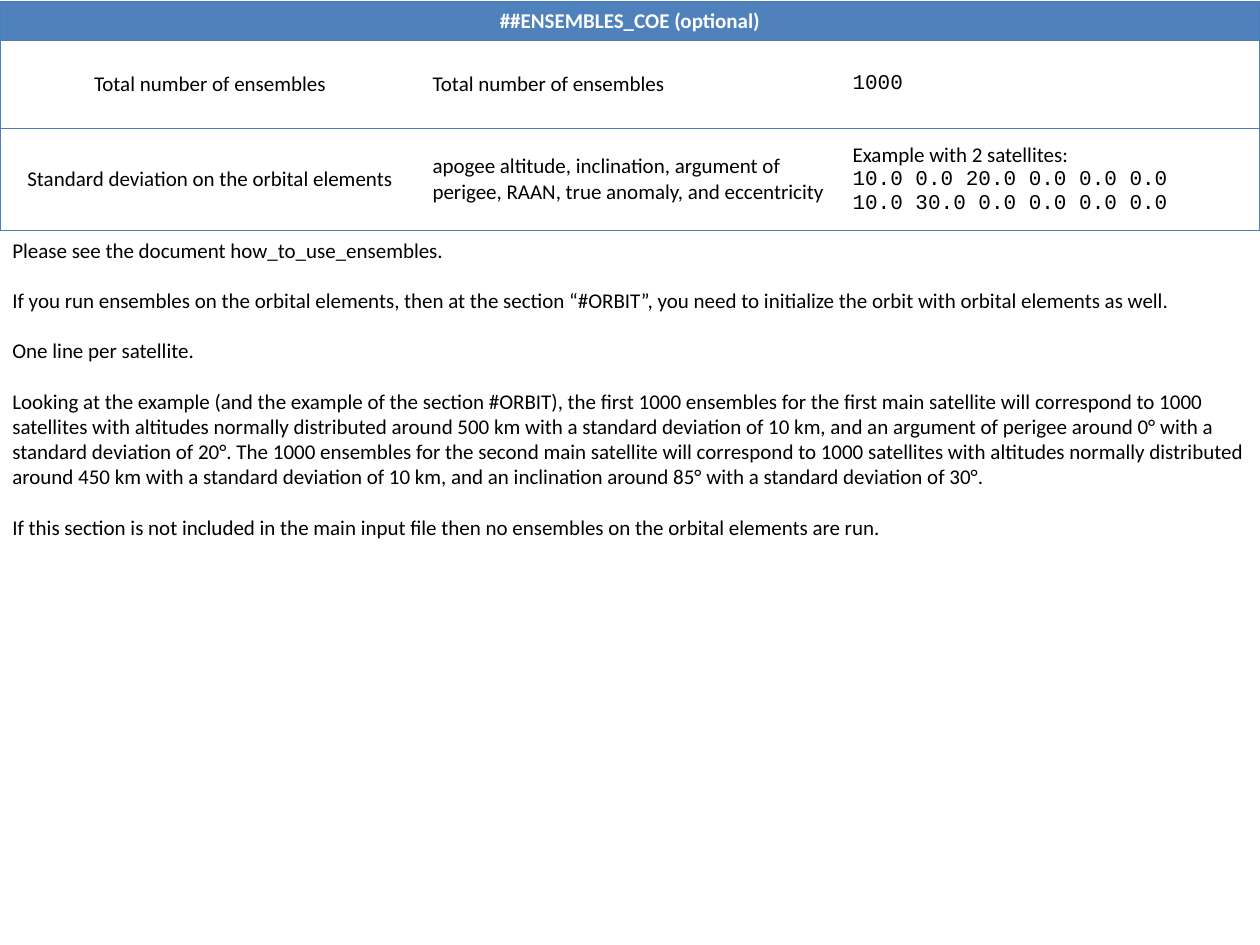
from dataclasses import dataclass

from lxml import etree
from pptx import Presentation
from pptx import util as u
from pptx.dml.color import RGBColor
from pptx.enum import text
from pptx.oxml import ns

SCALE = u.Inches(1) // 126


@dataclass(frozen=True)
class Theme:
    header: str = "4F81BD"
    rule: str = "4B7EBC"
    ink: str = "000000"
    paper: str = "FFFFFF"
    body: str = "Calibri"
    code: str = "Courier New"
    size: float = 12
    gap: float = 14.4
    rule_width: float = 0.75


THEME = Theme()


def px(length):
    return u.Emu(length * SCALE)


def write(paragraph, wording, *, font=THEME.body, color=THEME.ink, bold=False,
          align=text.PP_ALIGN.LEFT, after=0):
    paragraph.alignment = align
    paragraph.space_after = u.Pt(after)
    run = paragraph.add_run()
    run.text = wording
    run.font.name = font
    run.font.size = u.Pt(THEME.size)
    run.font.bold = bold
    run.font.color.rgb = RGBColor.from_string(color)


def write_all(frame, lines, **style):
    for index, line in enumerate(lines):
        wording, extra = line if isinstance(line, tuple) else (line, {})
        paragraph = frame.add_paragraph() if index else frame.paragraphs[0]
        write(paragraph, wording, **{**style, **extra})


class SlideWriter:
    def __init__(self, theme, slide):
        self.theme = theme
        self.slide = slide

    def borders(self, cell, sides):
        properties = cell._tc.get_or_add_tcPr()
        for side in "LRTB":
            edge = etree.SubElement(properties, ns.qn(f"a:ln{side}"))
            if side in sides:
                edge.set("w", str(u.Pt(self.theme.rule_width)))
                paint = etree.SubElement(edge, ns.qn("a:solidFill"))
                etree.SubElement(paint, ns.qn("a:srgbClr"), val=self.theme.rule)
            else:
                edge.set("w", "0")
                etree.SubElement(edge, ns.qn("a:noFill"))

    def cell(self, cell, lines, sides, fill=None, **style):
        self.borders(cell, sides)
        if fill:
            cell.fill.solid()
            cell.fill.fore_color.rgb = RGBColor.from_string(fill)
        else:
            cell.fill.background()
        cell.vertical_anchor = text.MSO_ANCHOR.MIDDLE
        write_all(cell.text_frame, lines, **style)

    def table(self, left, top, column_width, row_heights, heading, rows):
        columns = len(rows[0])
        table = self.slide.shapes.add_table(
            len(row_heights), columns, px(left), px(top),
            px(column_width * columns), px(sum(row_heights))).table
        table.first_row = table.horz_banding = False
        for column in table.columns:
            column.width = px(column_width)
        for row, height in zip(table.rows, row_heights):
            row.height = px(height)

        title = table.cell(0, 0)
        title.merge(table.cell(0, columns - 1))
        self.cell(title, [heading], "LRT", fill=self.theme.header,
                  color=self.theme.paper, bold=True, align=text.PP_ALIGN.CENTER)
        for row_index, row in enumerate(rows, start=1):
            for column_index, lines in enumerate(row):
                sides = "TB"
                align = text.PP_ALIGN.LEFT
                if column_index == 0:
                    sides += "L"
                    align = text.PP_ALIGN.CENTER
                elif column_index == columns - 1:
                    sides += "R"
                self.cell(table.cell(row_index, column_index), lines, sides, align=align)

    def text_box(self, left, top, width, height, lines):
        frame = self.slide.shapes.add_textbox(
            px(left), px(top), px(width), px(height)).text_frame
        frame.word_wrap = True
        frame.auto_size = text.MSO_AUTO_SIZE.SHAPE_TO_FIT_TEXT
        write_all(frame, lines, after=self.theme.gap)


CODE = {"font": THEME.code}
PARAMETERS = [
    [["Total number of ensembles"], ["Total number of ensembles"], [("1000", CODE)]],
    [["Standard deviation on the orbital elements"],
     ["apogee altitude, inclination, argument of perigee, RAAN, true anomaly, "
      "and eccentricity"],
     ["Example with 2 satellites:",
      ("10.0 0.0 20.0 0.0 0.0 0.0", CODE),
      ("10.0 30.0 0.0 0.0 0.0 0.0", CODE)]],
]
EXPLANATION = [
    "Please see the document how_to_use_ensembles.",
    "If you run ensembles on the orbital elements, then at the section “#ORBIT”, "
    "you need to initialize the orbit with orbital elements as well.",
    "One line per satellite.",
    "Looking at the example (and the example of the section #ORBIT), the first 1000 "
    "ensembles for the first main satellite will correspond to 1000 satellites with "
    "altitudes normally distributed around 500 km with a standard deviation of 10 km, "
    "and an argument of perigee around 0° with a standard deviation of 20°. The 1000 "
    "ensembles for the second main satellite will correspond to 1000 satellites with "
    "altitudes normally distributed around 450 km with a standard deviation of 10 km, "
    "and an inclination around 85° with a standard deviation of 30°.",
    ("If this section is not included in the main input file then no ensembles on the "
     "orbital elements are run.", {"after": 0}),
]


def main():
    deck = Presentation()
    deck.slide_width, deck.slide_height = px(1260), px(945)
    writer = SlideWriter(THEME, deck.slides.add_slide(deck.slide_layouts[6]))
    writer.table(0, 2, 420, [38, 88, 102], "##ENSEMBLES_COE (optional)", PARAMETERS)
    writer.text_box(0, 231, 1260, 318, EXPLANATION)
    deck.save("out.pptx")


if __name__ == "__main__":
    main()
